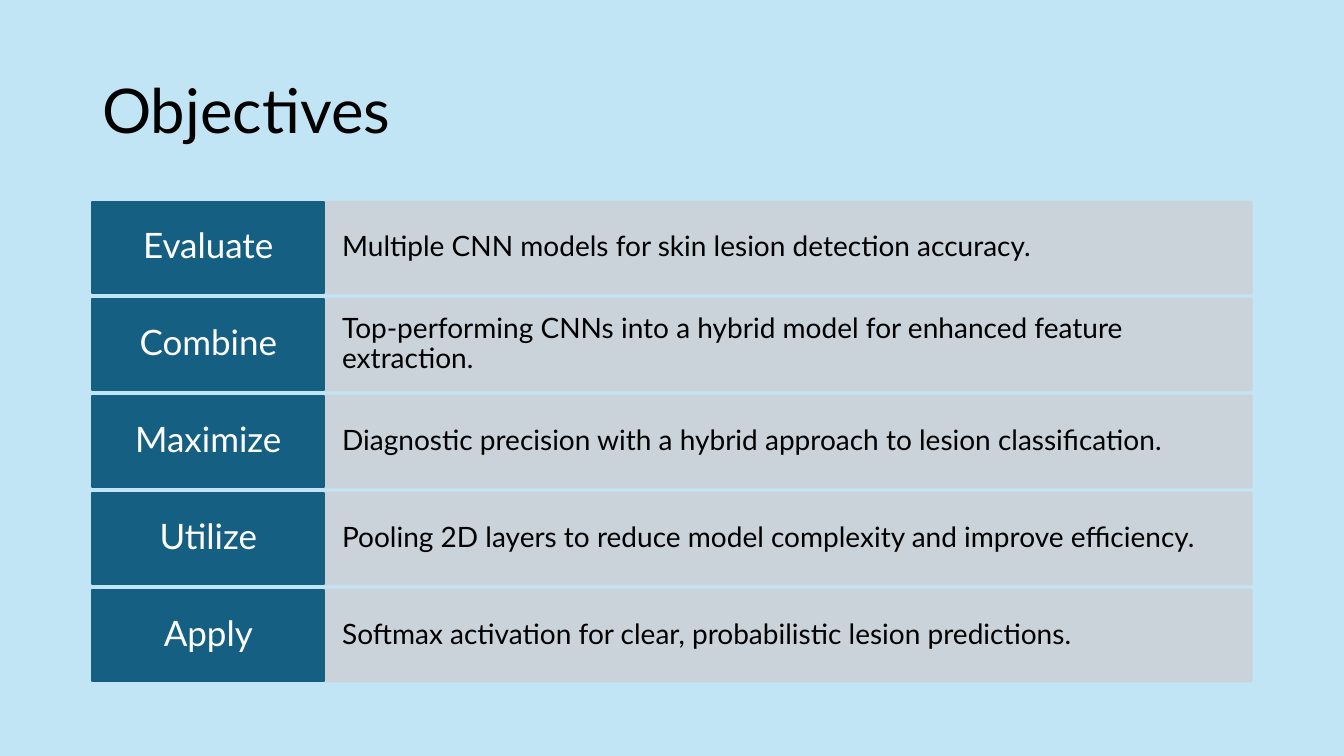
from lxml import etree
from pptx import Presentation
from pptx.dml.color import RGBColor
from pptx.enum import shapes, text
from pptx.oxml.ns import qn
from pptx.util import Pt

TITLE = "Objectives"
GOALS = [
    ("Evaluate", "Multiple CNN models for skin lesion detection accuracy."),
    ("Combine", "Top-performing CNNs into a hybrid model for enhanced feature extraction."),
    ("Maximize", "Diagnostic precision with a hybrid approach to lesion classification."),
    ("Utilize", "Pooling 2D layers to reduce model complexity and improve efficiency."),
    ("Apply", "Softmax activation for clear, probabilistic lesion predictions."),
]
COLORS = {"back": "C1E5F5", "label": "156082", "body": "CCD2D8",
          "dark": "000000", "light": "FFFFFF"}
FONT = "Lato"
LEFT, TOP, WIDTH = 66, 144, 828
LABEL_W = WIDTH * 0.2
ROW_H, PITCH = 65.6, 69.3


def color(name):
    return RGBColor.from_string(COLORS[name])


def write(shape, words, size, ink, align, pad_x, pad_y):
    frame = shape.text_frame
    frame.text = words
    frame.word_wrap = True
    frame.vertical_anchor = text.MSO_ANCHOR.MIDDLE
    frame.margin_left = frame.margin_right = Pt(pad_x)
    frame.margin_top = frame.margin_bottom = Pt(pad_y)
    para = frame.paragraphs[0]
    para.alignment = align
    para.line_spacing = 0.9
    font = para.runs[0].font
    font.name, font.size = FONT, Pt(size)
    font.color.rgb = color(ink)


def add_box(slide, left, top, width, name, alpha=None):
    """Add a filled row box; alpha is its opacity in percent."""
    box = slide.shapes.add_shape(shapes.MSO_SHAPE.RECTANGLE,
                                 Pt(left), Pt(top), Pt(width), Pt(ROW_H))
    box.shadow.inherit = False
    box.fill.solid()
    box.fill.fore_color.rgb = color(name)
    box.line.color.rgb = color(name)
    box.line.width = Pt(1.5)
    if alpha:
        for tone in box.element.spPr.iter(qn("a:srgbClr")):
            etree.SubElement(tone, qn("a:alpha")).set("val", str(alpha * 1000))
    return box


def main():
    deck = Presentation()
    deck.slide_width, deck.slide_height = Pt(960), Pt(540)
    slide = deck.slides.add_slide(deck.slide_layouts[6])
    slide.background.fill.solid()
    slide.background.fill.fore_color.rgb = color("back")

    left, center = text.PP_ALIGN.LEFT, text.PP_ALIGN.CENTER
    title = slide.shapes.add_textbox(Pt(LEFT), Pt(28.75), Pt(WIDTH), Pt(104.4))
    write(title, TITLE, 44, "dark", left, 7.2, 3.6)

    for row, (verb, goal) in enumerate(GOALS):
        top = TOP + row * PITCH
        body = add_box(slide, LEFT + LABEL_W, top, WIDTH - LABEL_W, "body", 90)
        write(body, goal, 20, "dark", left, 12.8, 16.6)
        label = add_box(slide, LEFT, top, LABEL_W, "label")
        write(label, verb, 25, "light", center, 8.8, 6.5)

    deck.save("out.pptx")


if __name__ == "__main__":
    main()
